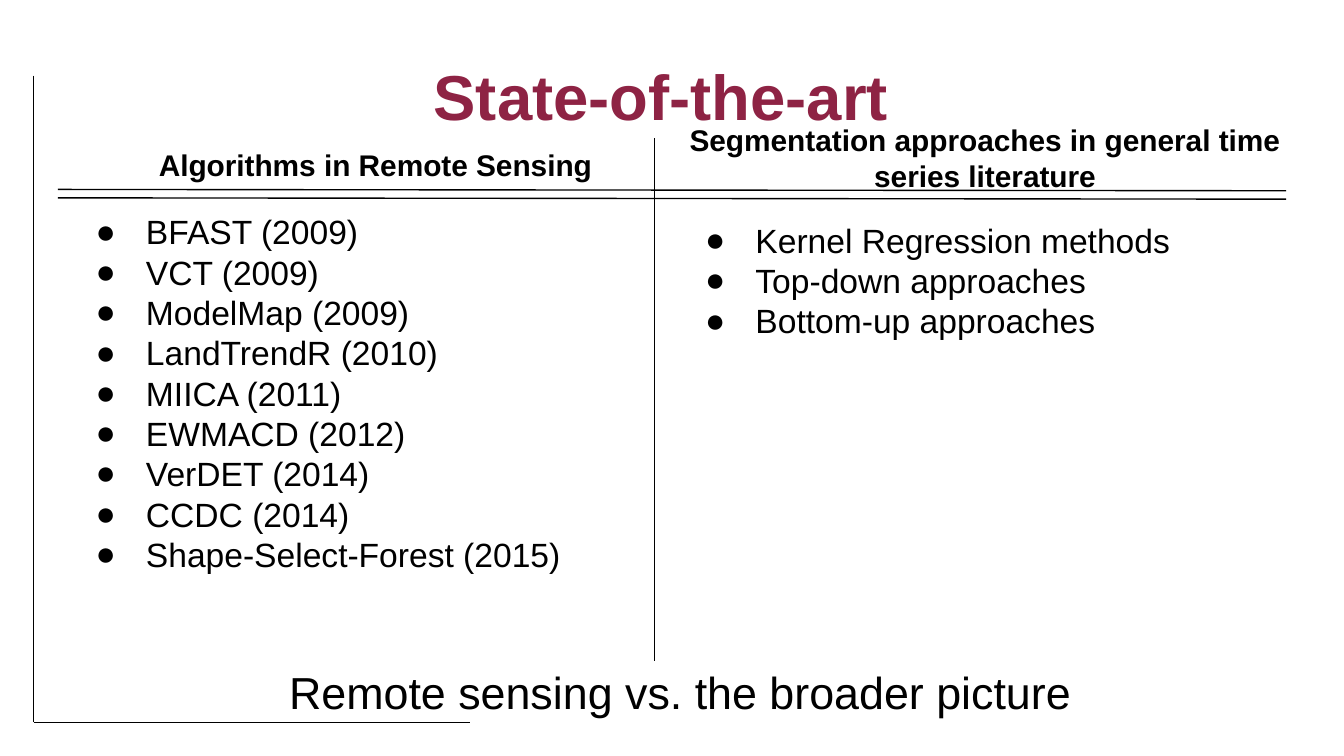
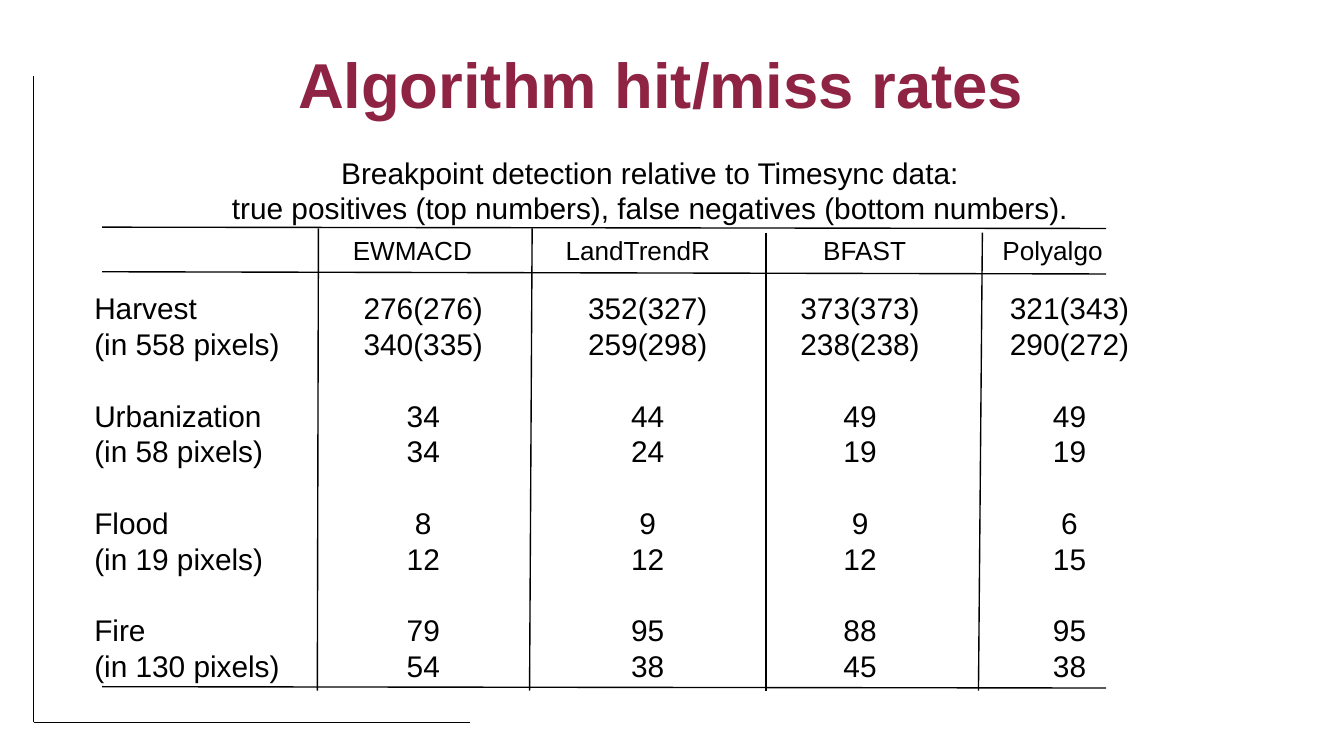
import pptx
import pptx.dml.color
import pptx.enum.shapes
import pptx.enum.text
import pptx.oxml.ns
import pptx.util
from lxml import etree

Pt = pptx.util.Pt
ALIGN = pptx.enum.text.PP_ALIGN
ANCHOR = pptx.enum.text.MSO_ANCHOR
qn = pptx.oxml.ns.qn

COLORS = {"title": "8E2344", "ink": "000000", "paper": "FFFFFF"}
FONT = "Arial"
INSET = 7.2
LINE_WIDTH = 0.75
LEADING = 1.2

REMOTE_SENSING = [
    "BFAST (2009)", "VCT (2009)", "ModelMap (2009)", "LandTrendR (2010)",
    "MIICA (2011)", "EWMACD (2012)", "VerDET (2014)", "CCDC (2014)",
    "Shape-Select-Forest (2015)",
]
GENERAL = ["Kernel Regression methods", "Top-down approaches", "Bottom-up approaches"]

ALGORITHMS = ["", "EWMACD", "LandTrendR", "BFAST", "Polyalgo"]
RATES = [
    ["Harvest\n(in 558 pixels)", "276(276)\n340(335)", "352(327)\n259(298)",
     "373(373)\n238(238)", "321(343)\n290(272)"],
    ["Urbanization\n(in 58 pixels)", "34\n34", "44\n24", "49\n19", "49\n19"],
    ["Flood\n(in 19 pixels)", "8\n12", "9\n12", "9\n12", "6\n15"],
    ["Fire\n(in 130 pixels)", "79\n54", "95\n38", "88\n45", "95\n38"],
]
COLUMN_EDGES = [50.5, 170, 284.5, 410.5, 525, 607]
ROW_EDGES = [122, 146, 203.5, 261, 318.5, 368]
HEADER_INDENTS = [0, 19, 18.5, 30.5, 12]
BODY_MARGINS = [(0, 0), (0, 1), (0, 1), (0, 14), (14, 0)]

# Rules of the rates table: (left y, right y) and (top x, bottom x, top y)
ROW_RULES = [(121.7, 122.4), (145.6, 146.8), (367.9, 368.6)]
COLUMN_RULES = [(170.6, 170, 122.4), (285.1, 283.7, 122.4),
                (410.4, 410.4, 124.6), (526.3, 524.2, 124.6)]


def rgb(name):
    return pptx.dml.color.RGBColor.from_string(COLORS[name])


# Text
def write(frame, lines, size, align=ALIGN.LEFT, bold=False, color="ink", bullets=False):
    for index, line in enumerate(lines):
        para = frame.paragraphs[0] if index == 0 else frame.add_paragraph()
        if bullets:
            add_bullet(para)
        para.alignment = align
        para.space_before = para.space_after = Pt(0)
        para.line_spacing = Pt(size * LEADING)
        span = para.add_run()
        span.text = line
        span.font.name = FONT
        span.font.size = Pt(size)
        span.font.bold = bold
        span.font.color.rgb = rgb(color)


def add_bullet(para):
    properties = para._p.get_or_add_pPr()
    properties.set("marL", str(Pt(36)))
    properties.set("indent", str(Pt(-27)))
    bullet_color = etree.SubElement(properties, qn("a:buClr"))
    etree.SubElement(bullet_color, qn("a:srgbClr"), val=COLORS["ink"])
    etree.SubElement(properties, qn("a:buFont"), typeface=FONT)
    etree.SubElement(properties, qn("a:buChar"), char="●")


def prepare(box, left, top, width, height):
    box.left, box.top, box.width, box.height = map(Pt, (left, top, width, height))
    frame = box.text_frame
    frame.word_wrap = True
    frame.auto_size = pptx.enum.text.MSO_AUTO_SIZE.NONE
    frame.vertical_anchor = ANCHOR.TOP
    frame.margin_left = frame.margin_right = Pt(INSET)
    frame.margin_top = frame.margin_bottom = Pt(INSET)
    return frame


def set_title(page, text, top):
    frame = prepare(page.shapes.title, 43.5, top, 621, 44)
    frame.margin_top = frame.margin_bottom = Pt(3)
    write(frame, [text], 34, ALIGN.CENTER, bold=True, color="title")


def fill_list(box, lines, *place):
    write(prepare(box, *place), lines, 18, bullets=True)


def add_label(page, lines, size, place, bold=False):
    box = page.shapes.add_textbox(0, 0, 0, 0)
    write(prepare(box, *place), lines, size, ALIGN.CENTER, bold)


# Lines
def add_line(page, x1, y1, x2, y2):
    line = page.shapes.add_connector(
        pptx.enum.shapes.MSO_CONNECTOR.STRAIGHT, Pt(x1), Pt(y1), Pt(x2), Pt(y2))
    line.line.color.rgb = rgb("ink")
    line.line.width = Pt(LINE_WIDTH)
    etree.SubElement(line.element.spPr, qn("a:effectLst"))
    return line


def move_to_master(deck, lines):
    for number, line in enumerate(lines, 100):
        line.element.nvCxnSpPr.cNvPr.set("id", str(number))
        deck.slide_master.shapes.element.append(line.element)


# Table
def clear_borders(cell):
    properties = cell._tc.get_or_add_tcPr()
    for side in "LRTB":
        border = etree.SubElement(properties, qn("a:ln" + side))
        etree.SubElement(border, qn("a:noFill"))


def fill_cell(cell, text, row, column):
    clear_borders(cell)
    cell.fill.background()
    header = row == 0
    left, right = (HEADER_INDENTS[column], 0) if header else BODY_MARGINS[column]
    cell.margin_left, cell.margin_right = Pt(left), Pt(right)
    cell.margin_top, cell.margin_bottom = Pt(0 if header else 9.5), Pt(0)
    cell.vertical_anchor = ANCHOR.MIDDLE if header else ANCHOR.TOP
    align = ALIGN.LEFT if header or column == 0 else ALIGN.CENTER
    write(cell.text_frame, text.split("\n"), 14 if header else 16, align)


def add_rates_table(page):
    x, y = COLUMN_EDGES, ROW_EDGES
    rows = [ALGORITHMS] + RATES
    table = page.shapes.add_table(
        len(rows), len(ALGORITHMS), Pt(x[0]), Pt(y[0]),
        Pt(x[-1] - x[0]), Pt(y[-1] - y[0])).table
    table.first_row = table.horz_banding = False
    for column, start, end in zip(table.columns, x, x[1:]):
        column.width = Pt(end - start)
    for row, start, end in zip(table.rows, y, y[1:]):
        row.height = Pt(end - start)
    for r, texts in enumerate(rows):
        for c, text in enumerate(texts):
            fill_cell(table.cell(r, c), text, r, c)


def add_table_rules(page):
    for left_y, right_y in ROW_RULES:
        add_line(page, 54.7, left_y, 592.6, right_y)
    for top_x, bottom_x, top_y in COLUMN_RULES:
        add_line(page, top_x, top_y, bottom_x, 370)


# Slides
def build_overview(deck):
    page = deck.slides.add_slide(deck.slide_layouts.get_by_name("Two Content"))
    move_to_master(deck, [add_line(page, 18, 40.5, 18, 387),
                          add_line(page, 18, 387, 252, 387)])
    set_title(page, "State-of-the-art", 27.5)
    for y in (101.5, 106):
        add_line(page, 31, y, 689, y + 0.7)
    add_line(page, 350.5, 74, 350.5, 354)
    add_label(page, ["Remote sensing vs. the broader picture"], 24, (133.5, 349, 461.5, 32))
    add_label(page, ["Algorithms in Remote Sensing"], 16, (53, 71.5, 296.5, 24.5), bold=True)
    add_label(page, ["Segmentation approaches in general time series literature"], 16,
              (354.5, 58, 346.5, 32), bold=True)
    left_list, right_list = list(page.placeholders)[1:]
    fill_list(left_list, REMOTE_SENSING, 35, 106, 304.5, 247.5)
    fill_list(right_list, GENERAL, 361.5, 110.5, 319, 243)


def build_rates(deck):
    page = deck.slides.add_slide(deck.slide_layouts.get_by_name("Title Only"))
    set_title(page, "Algorithm hit/miss rates", 21)
    add_rates_table(page)
    add_table_rules(page)
    add_label(page, ["Breakpoint detection relative to Timesync data:",
                     "true positives (top numbers), false negatives (bottom numbers)."],
              16, (26.5, 75.5, 643.5, 44))


def main():
    deck = pptx.Presentation()
    deck.slide_width, deck.slide_height = Pt(720), Pt(405)
    background = deck.slide_master.background.fill
    background.solid()
    background.fore_color.rgb = rgb("paper")
    build_overview(deck)
    build_rates(deck)
    deck.save("out.pptx")


if __name__ == "__main__":
    main()
